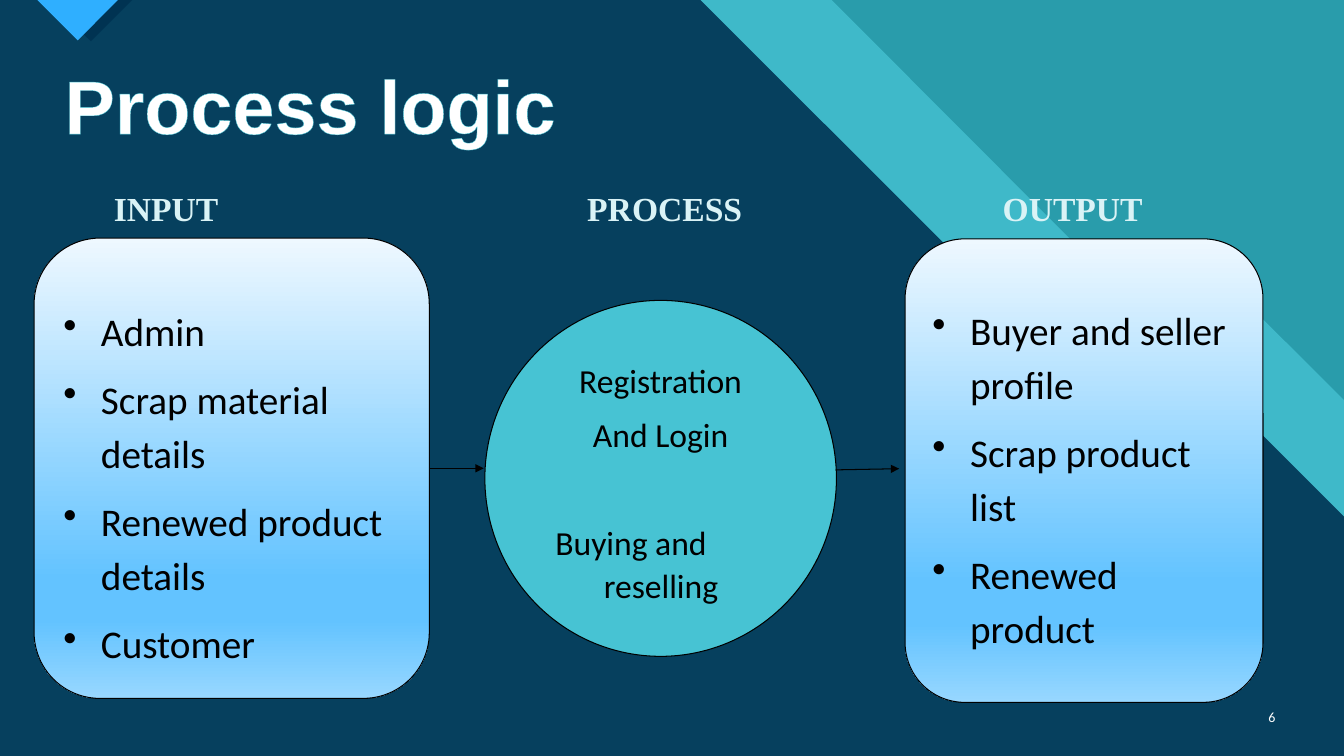
from pptx import Presentation
from pptx.dml.color import RGBColor
from pptx.enum.shapes import MSO_CONNECTOR, MSO_SHAPE
from pptx.enum.text import MSO_ANCHOR, PP_ALIGN
from pptx.oxml.ns import qn
from pptx.util import Cm, Pt
from lxml.etree import SubElement

TEAL = RGBColor(0x29, 0x9C, 0xAB)
BAND = RGBColor(0x3F, 0xB9, 0xC9)
DEEP = RGBColor(0x06, 0x40, 0x5E)
NAVY = RGBColor(0x00, 0x33, 0x52)
BLUE = RGBColor(0x2F, 0xAF, 0xFF)
AQUA = RGBColor(0x47, 0xC3, 0xD3)
PALE = RGBColor(0xDA, 0xF3, 0xF6)
WHITE = RGBColor(0xFF, 0xFF, 0xFF)
BLACK = RGBColor(0x00, 0x00, 0x00)
STOPS = (
    (0, RGBColor(0xEE, 0xF8, 0xFF)),
    (74, RGBColor(0x63, 0xC3, 0xFF)),
    (83, RGBColor(0x63, 0xC3, 0xFF)),
    (100, RGBColor(0x97, 0xD7, 0xFF)),
)


class Board:
    body = "Calibri"
    head = "Times New Roman"
    title = "Arial"
    edge = Pt(0.75)

    def __init__(self, deck):
        self.slide = deck.slides.add_slide(deck.slide_layouts[6])
        self.shapes = self.slide.shapes
        fill = self.slide.background.fill
        fill.solid()
        fill.fore_color.rgb = TEAL

    def style(self, para, size, color, name, bold=False):
        font = para.font
        font.size, font.name, font.bold = Pt(size), name, bold
        font.color.rgb = color

    def area(self, color, *spots):
        first, *rest = [(Cm(x), Cm(y)) for x, y in spots]
        outer = self.shapes.build_freeform(*first)
        outer.add_line_segments(rest, close=True)
        shape = outer.convert_to_shape()
        shape.shadow.inherit = False
        shape.fill.solid()
        shape.fill.fore_color.rgb = color
        shape.line.fill.background()

    def label(self, text, place, size, color, name, bold=False,
              align=PP_ALIGN.LEFT, anchor=MSO_ANCHOR.TOP):
        frame = self.shapes.add_textbox(*map(Cm, place)).text_frame
        frame.word_wrap = True
        frame.vertical_anchor = anchor
        para = frame.paragraphs[0]
        para.text = text
        para.alignment = align
        self.style(para, size, color, name, bold)
        return para

    def outline(self, para, color, width):
        props = para.runs[0]._r.get_or_add_rPr()
        line = SubElement(props, qn("a:ln"), w=str(Pt(width)))
        solid = SubElement(line, qn("a:solidFill"))
        SubElement(solid, qn("a:srgbClr"), val=str(color))

    def block(self, kind, place):
        shape = self.shapes.add_shape(kind, *map(Cm, place))
        shape.shadow.inherit = False
        shape.line.color.rgb = BLACK
        shape.line.width = self.edge
        shape.text_frame.word_wrap = True
        shape.text_frame.vertical_anchor = MSO_ANCHOR.TOP
        return shape

    def prose(self, frame, lines, size, space, after, align):
        for num, text in enumerate(lines):
            para = frame.add_paragraph() if num else frame.paragraphs[0]
            para.text = text
            para.alignment = align
            para.line_spacing = space
            para.space_after = Pt(after)
            self.style(para, size, BLACK, self.body)
        return frame.paragraphs

    def indent(self, para, left, first):
        props = para._p.get_or_add_pPr()
        props.set("marL", str(Cm(left)))
        props.set("indent", str(Cm(first)))
        return props

    def card(self, place, items):
        shape = self.block(MSO_SHAPE.ROUNDED_RECTANGLE, place)
        shape.fill.gradient()
        shape.fill.gradient_angle = 270
        stops = shape._element.spPr.find(qn("a:gradFill")).find(qn("a:gsLst"))
        stops.clear()
        for part, color in STOPS:
            stop = SubElement(stops, qn("a:gs"), pos=str(part * 1000))
            SubElement(stop, qn("a:srgbClr"), val=str(color))
        frame = shape.text_frame
        frame.margin_top = Cm(1.07)
        for para in self.prose(frame, items, 28, 1.15, 10, PP_ALIGN.LEFT):
            props = self.indent(para, 0.95, -0.95)
            mark = props.makeelement(qn("a:buChar"), {"char": "•"})
            props.find(qn("a:defRPr")).addprevious(mark)
        return shape

    def circle(self, place, lines):
        shape = self.block(MSO_SHAPE.OVAL, place)
        shape.fill.solid()
        shape.fill.fore_color.rgb = AQUA
        paras = self.prose(shape.text_frame, lines, 24, 1.06, 8, PP_ALIGN.CENTER)
        paras[-2].space_after = Pt(47)
        paras[-1].alignment = PP_ALIGN.LEFT
        self.indent(paras[-1], 1.45, -1.22)

    def arrow(self, start, end, source=None):
        line = self.shapes.add_connector(
            MSO_CONNECTOR.STRAIGHT, *map(Cm, start + end))
        if source is not None:
            line.begin_connect(source, 3)
        line.line.color.rgb = BLACK
        line.line.width = self.edge
        props = line._element.spPr
        SubElement(props.find(qn("a:ln")), qn("a:tailEnd"), type="triangle")
        SubElement(props, qn("a:effectLst"))


def main():
    deck = Presentation()
    deck.slide_width, deck.slide_height = Cm(33.87), Cm(19.05)
    board = Board(deck)
    board.area(BAND, (0, 0), (20.96, 0), (28.5, 7.56), (31.34, 7.56),
               (33.87, 10.08), (33.87, 19.05), (0, 19.05))
    board.area(DEEP, (0, 0), (17.65, 0), (25.2, 7.54), (28.4, 7.54),
               (33.87, 13.02), (33.87, 19.05), (0, 19.05))
    board.area(NAVY, (1.22, 0), (3.33, 0), (2.29, 1.04))
    board.area(BLUE, (0.94, 0), (2.97, 0), (1.96, 1.02))

    title = board.label("Process logic", (1.32, 1.35, 13, 2.57), 54, WHITE,
                        board.title, True, PP_ALIGN.CENTER)
    board.outline(title, AQUA, 0.52)
    for text, left in (("INPUT", 2.62), ("PROCESS", 14.55), ("OUTPUT", 25.02)):
        board.label(text, (left, 4.6, 5, 1.2), 24, PALE, board.head, True)

    source = board.card((0.86, 6, 9.96, 11.6), (
        "Admin", "Scrap material details", "Renewed product details", "Customer"))
    board.circle((12.22, 7.57, 8.86, 8.97), (
        "Registration", "And Login", "Buying and\vreselling"))
    board.card((22.81, 6.02, 9.02, 11.68), (
        "Buyer and seller profile", "Scrap product list", "Renewed product"))
    board.arrow((10.82, 11.8), (12.19, 11.8), source)
    board.arrow((21.06, 11.84), (22.66, 11.81))
    board.label("6", (31.27, 17.55, 1.12, 1.02), 10, WHITE, board.body,
                align=PP_ALIGN.RIGHT, anchor=MSO_ANCHOR.MIDDLE)
    deck.save("out.pptx")


if __name__ == "__main__":
    main()
